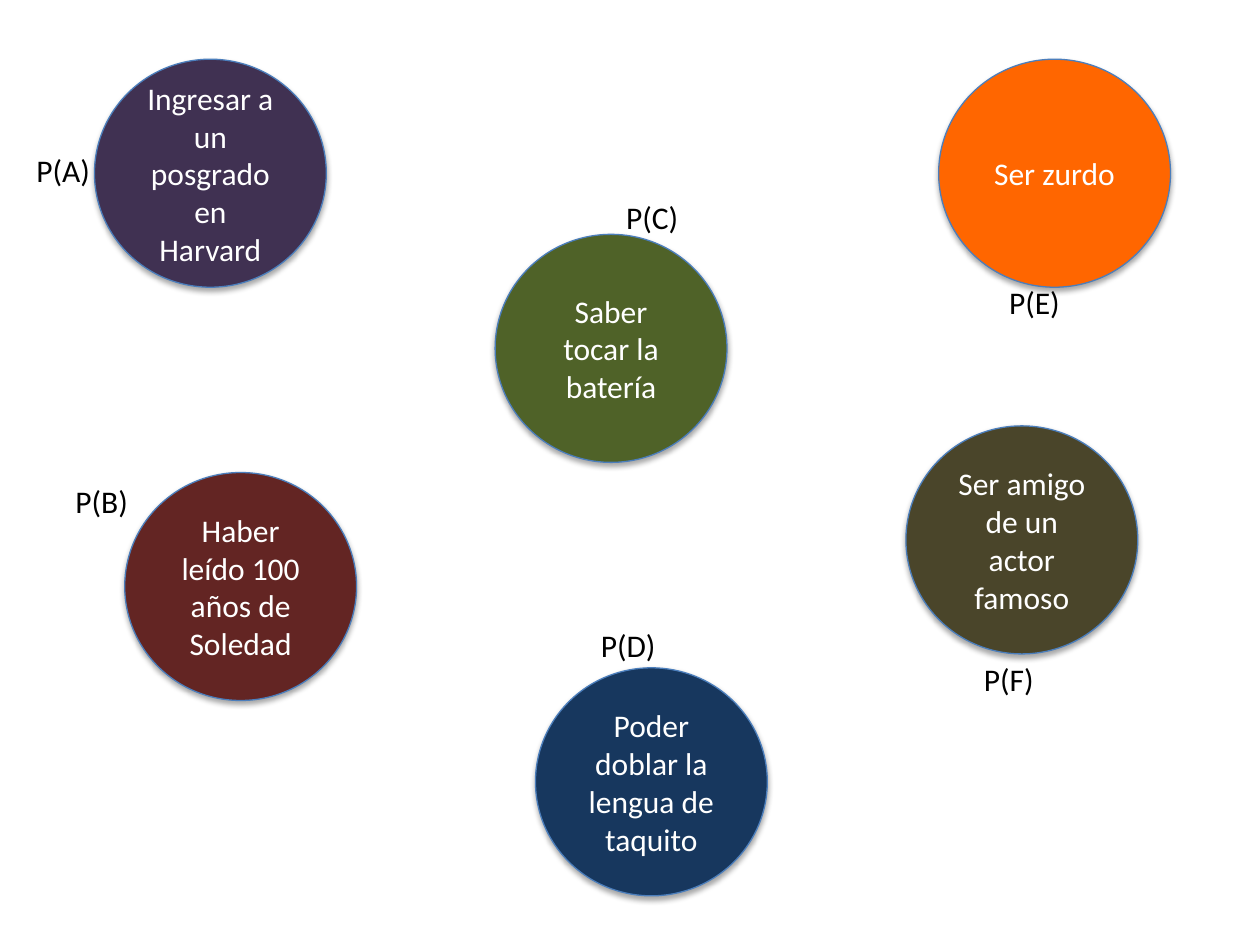
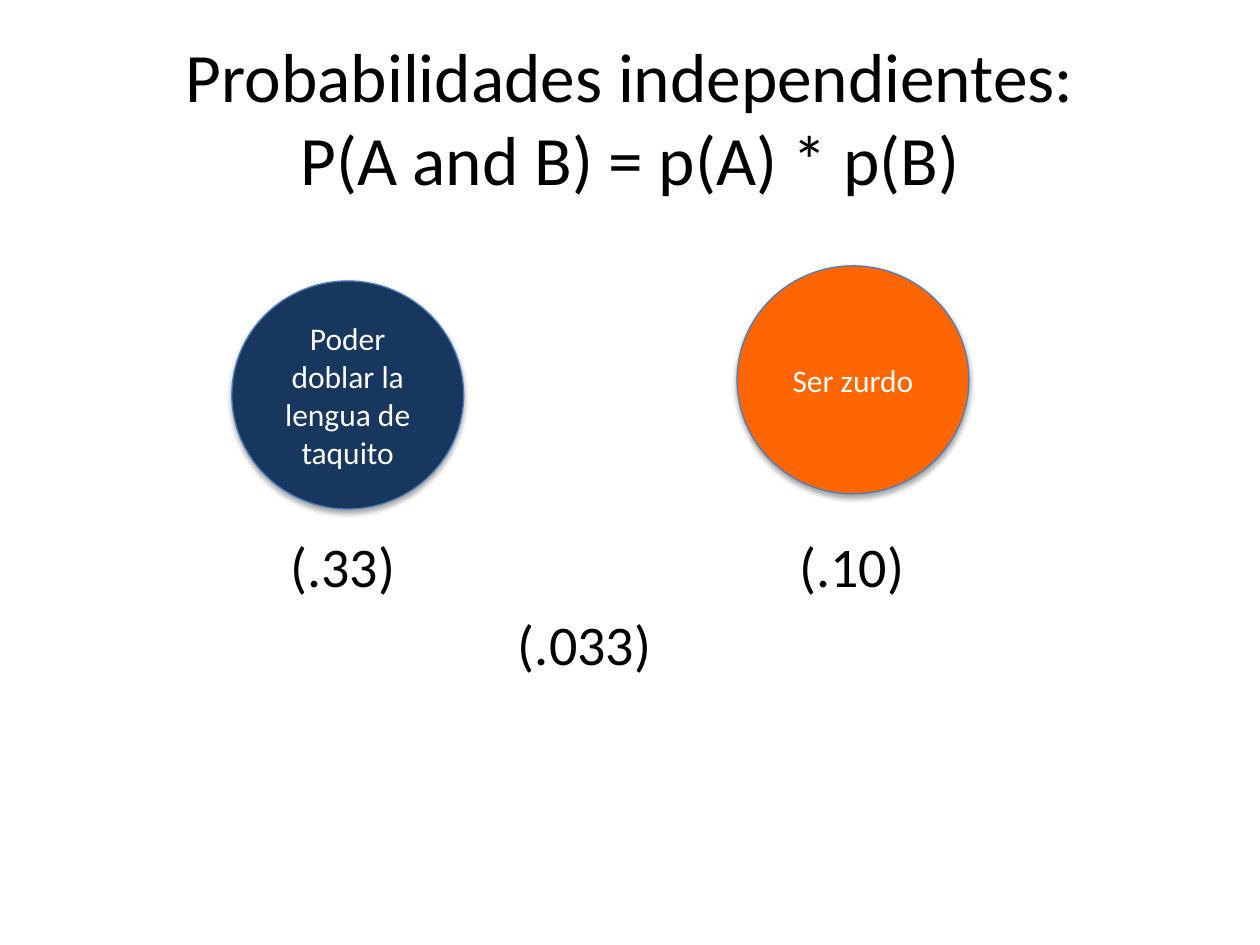
from lxml import etree
from pptx import Presentation
from pptx.dml.color import RGBColor as RGB
from pptx.enum.shapes import MSO_SHAPE as Shape
from pptx.enum.text import MSO_ANCHOR as Anchor, PP_ALIGN as Align
from pptx.oxml import parse_xml
from pptx.util import Inches, Pt

BLACK = RGB(0x00, 0x00, 0x00)
WHITE = RGB(0xFF, 0xFF, 0xFF)
EDGE = RGB(0x4B, 0x7E, 0xBC)
PURPLE = RGB(0x40, 0x31, 0x52)
GREEN = RGB(0x4F, 0x62, 0x28)
RED = RGB(0x63, 0x25, 0x23)
ORANGE = RGB(0xFF, 0x66, 0x00)
NAVY = RGB(0x17, 0x37, 0x5E)
OLIVE = RGB(0x4A, 0x45, 0x2A)

WIDE, HIGH = 1.84, 1.81  # size of every event circle
TONGUE = ("Poder doblar la lengua de taquito", NAVY)
LEFTY = ("Ser zurdo", ORANGE)

SHADOW = """
<a:effectLst xmlns:a="http://schemas.openxmlformats.org/drawingml/2006/main">
  <a:outerShdw blurRad="40000" dist="23000" dir="5400000" rotWithShape="0">
    <a:srgbClr val="000000"><a:alpha val="35000"/></a:srgbClr>
  </a:outerShdw>
</a:effectLst>"""


def write(shape, text, size=18, color=BLACK, align=Align.LEFT, anchor=Anchor.TOP):
    """Fill a shape with one paragraph; a line feed becomes a line break."""
    frame = shape.text_frame
    frame.word_wrap = True
    frame.vertical_anchor = anchor
    para = frame.paragraphs[0]
    para.text = text.replace("\n", "\v")
    para.alignment = align
    font = para.font
    font.name, font.size = "Calibri", Pt(size)
    font.color.rgb = color


class Deck:
    def __init__(self):
        self.show = Presentation()
        self.show.slide_width, self.show.slide_height = Inches(10), Inches(7.5)
        self.slide = None

    def add(self):
        self.slide = self.show.slides.add_slide(self.show.slide_layouts[6])

    def text(self, text, left, top, width, height, **style):
        box = self.slide.shapes.add_textbox(
            Inches(left), Inches(top), Inches(width), Inches(height))
        write(box, text, **style)

    def title(self, text):
        self.text(text, 0.5, 0.3, 9, 1.25, size=39.6,
                  align=Align.CENTER, anchor=Anchor.MIDDLE)

    def label(self, text, left, top):
        self.text(text, left, top, 1.59, 0.4)

    def value(self, text, center, top):
        self.text(text, center - WIDE / 2, top, WIDE, 0.64,
                  size=32, align=Align.CENTER)

    def event(self, text, fill, left, top):
        ball = self.slide.shapes.add_shape(
            Shape.OVAL, Inches(left), Inches(top), Inches(WIDE), Inches(HIGH))
        ball.fill.solid()
        ball.fill.fore_color.rgb = fill
        ball.line.color.rgb = EDGE
        ball.line.width = Pt(0.75)
        ball._element.spPr.append(parse_xml(SHADOW))
        write(ball, text, color=WHITE, align=Align.CENTER, anchor=Anchor.MIDDLE)


def events(deck):
    deck.add()
    for event, spot, name, place in (
        (("Ingresar a un posgrado en Harvard", PURPLE), (0.75, 0.47), "A", (0.19, 1.15)),
        (("Haber leído 100 años de Soledad", RED), (0.99, 3.75), "B", (0.5, 3.78)),
        (("Saber tocar la batería", GREEN), (3.93, 1.86), "C", (4.87, 1.52)),
        (TONGUE, (4.25, 5.3), "D", (4.67, 4.92)),
        (LEFTY, (7.45, 0.47), "E", (7.91, 2.2)),
        (("Ser amigo de un actor famoso", OLIVE), (7.19, 3.38), "F", (7.71, 5.19)),
    ):
        deck.event(*event, *spot)
        deck.label(f"P({name})", *place)


def product(deck):
    deck.add()
    deck.title("Probabilidades independientes:\nP(A and B) = p(A) * p(B)")
    deck.event(*TONGUE, 1.84, 2.23)
    deck.event(*LEFTY, 5.85, 2.11)
    deck.value("(.33)", 2.72, 4.17)
    deck.value("(.10)", 6.76, 4.17)
    deck.value("(.033)", 4.64, 4.79)


def main():
    deck = Deck()
    events(deck)
    product(deck)
    deck.show.save("out.pptx")


if __name__ == "__main__":
    main()
